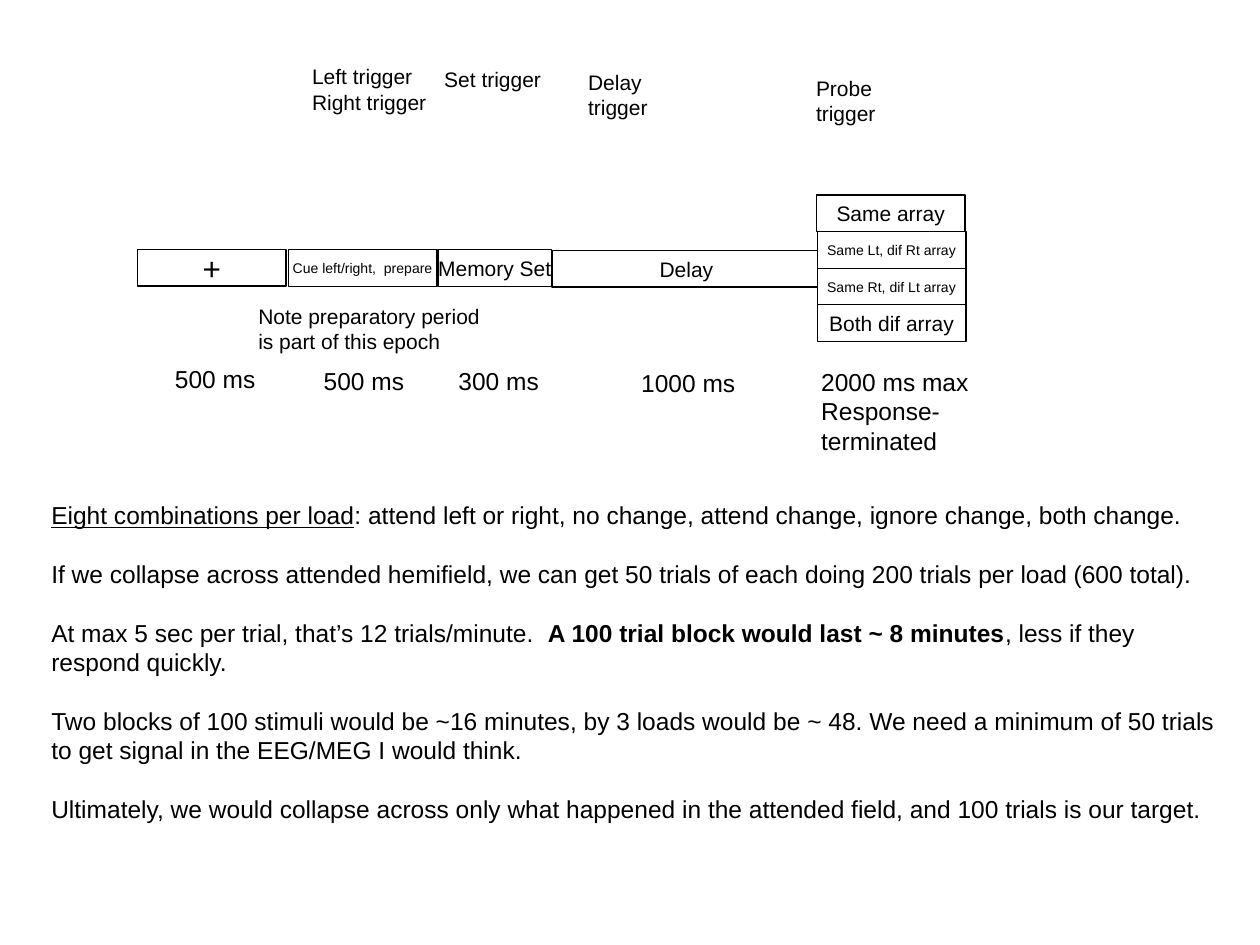
import pptx
import pptx.util
import pptx.dml.color
import pptx.enum.shapes
import pptx.enum.text

Pt = pptx.util.Pt
ALIGN = pptx.enum.text.PP_ALIGN
BLACK = pptx.dml.color.RGBColor(0, 0, 0)
WHITE = pptx.dml.color.RGBColor(255, 255, 255)

# Trial phases: text, size, left, top, width
PHASES = [
    ("+", 18, 78.5, 142.5, 85),
    ("Cue left/right,  prepare", 8, 164.75, 142.75, 85),
    ("Memory Set", 12, 250.5, 142.75, 64.5),
    ("Delay", 12, 315.5, 143, 153.5),
]
# Probe arrays, stacked: text, size
PROBES = [
    ("Same array", 12),
    ("Same Lt, dif Rt array", 8),
    ("Same Rt, dif Lt array", 8),
    ("Both dif array", 12),
]
# Labels: lines, left, top, width
TIMES = [
    (["500 ms"], 92.9, 204.5, 60.5),
    (["500 ms"], 177.9, 205.75, 60.5),
    (["300 ms"], 254.9, 205.75, 60.5),
    (["1000 ms"], 359.3, 206.75, 68.4),
    (["2000 ms max", "Response-terminated"], 462.2, 206, 148.3),
]
TRIGGERS = [
    (["Left trigger", "Right trigger"], 171.25, 33, 80),
    (["Set trigger"], 246.75, 34.25, 70),
    (["Delay trigger"], 329, 36, 82),
    (["Probe trigger"], 459.25, 39.5, 83.5),
]
CUE = "Note preparatory period is part of this epoch"
# Body paragraphs: runs of text and format
BODY = [
    [("Eight combinations per load", {"underline": True}),
     (": attend left or right, no change, attend change, ignore change, both change.", {})],
    [("If we collapse across attended hemifield, we can get 50 trials of each doing "
      "200 trials per load (600 total).", {})],
    [("At max 5 sec per trial, that’s 12 trials/minute.  ", {}),
     ("A 100 trial block would last ~ 8 minutes", {"bold": True}),
     (", less if they respond quickly.", {})],
    [("Two blocks of 100 stimuli would be ~16 minutes, by 3 loads would be ~ 48. "
      "We need a minimum of 50 trials to get signal in the EEG/MEG I would think.", {})],
    [("Ultimately, we would collapse across only what happened in the attended field, "
      "and 100 trials is our target.", {})],
]
HIGH = 21
STEP = 20.9

deck = pptx.Presentation()
deck.slide_width, deck.slide_height = Pt(720), Pt(540)
slide = deck.slides.add_slide(deck.slide_layouts[6])


def write(frame, paras, size, align=ALIGN.LEFT, gap=0):
    for i, runs in enumerate(paras):
        para = frame.add_paragraph() if i else frame.paragraphs[0]
        para.alignment = align
        if i and gap:
            para.space_before = Pt(gap)
        for text, extra in runs:
            run = para.add_run()
            run.text = text
            run.font.color.rgb = BLACK
            style = {"name": "Arial", "size": Pt(size), **extra}
            for key, value in style.items():
                setattr(run.font, key, value)


def box(text, size, left, top, width):
    shape = slide.shapes.add_shape(
        pptx.enum.shapes.MSO_SHAPE.RECTANGLE, Pt(left), Pt(top), Pt(width), Pt(HIGH))
    shape.shadow.inherit = False
    shape.fill.solid()
    shape.fill.fore_color.rgb = WHITE
    shape.line.color.rgb = BLACK
    shape.line.width = Pt(0.75)
    frame = shape.text_frame
    frame.word_wrap = False
    frame.vertical_anchor = pptx.enum.text.MSO_ANCHOR.MIDDLE
    write(frame, [[(text, {})]], size, ALIGN.CENTER)


def label(paras, size, left, top, width, high, wrap=False, gap=0):
    frame = slide.shapes.add_textbox(Pt(left), Pt(top), Pt(width), Pt(high)).text_frame
    frame.word_wrap = wrap
    frame.auto_size = pptx.enum.text.MSO_AUTO_SIZE.SHAPE_TO_FIT_TEXT
    write(frame, paras, size, gap=gap)


# Timeline and probe stack
for phase in PHASES:
    box(*phase)
for i, (text, size) in enumerate(PROBES):
    box(text, size, 467 if i else 466.5, 111.5 + i * STEP, 85)

# Durations and triggers
for size, group in ((14, TIMES), (12, TRIGGERS)):
    for lines, left, top, width in group:
        paras = [[(line, {})] for line in lines]
        label(paras, size, left, top, width, 7.2 + 1.2 * size * len(lines))

# Cue note and body text
label([[(CUE, {})]], 12, 140.5, 170, 147, 36, wrap=True)
label(BODY, 14, 22.25, 282.25, 683.25, 192.25, wrap=True, gap=16.8)

deck.save("out.pptx")
